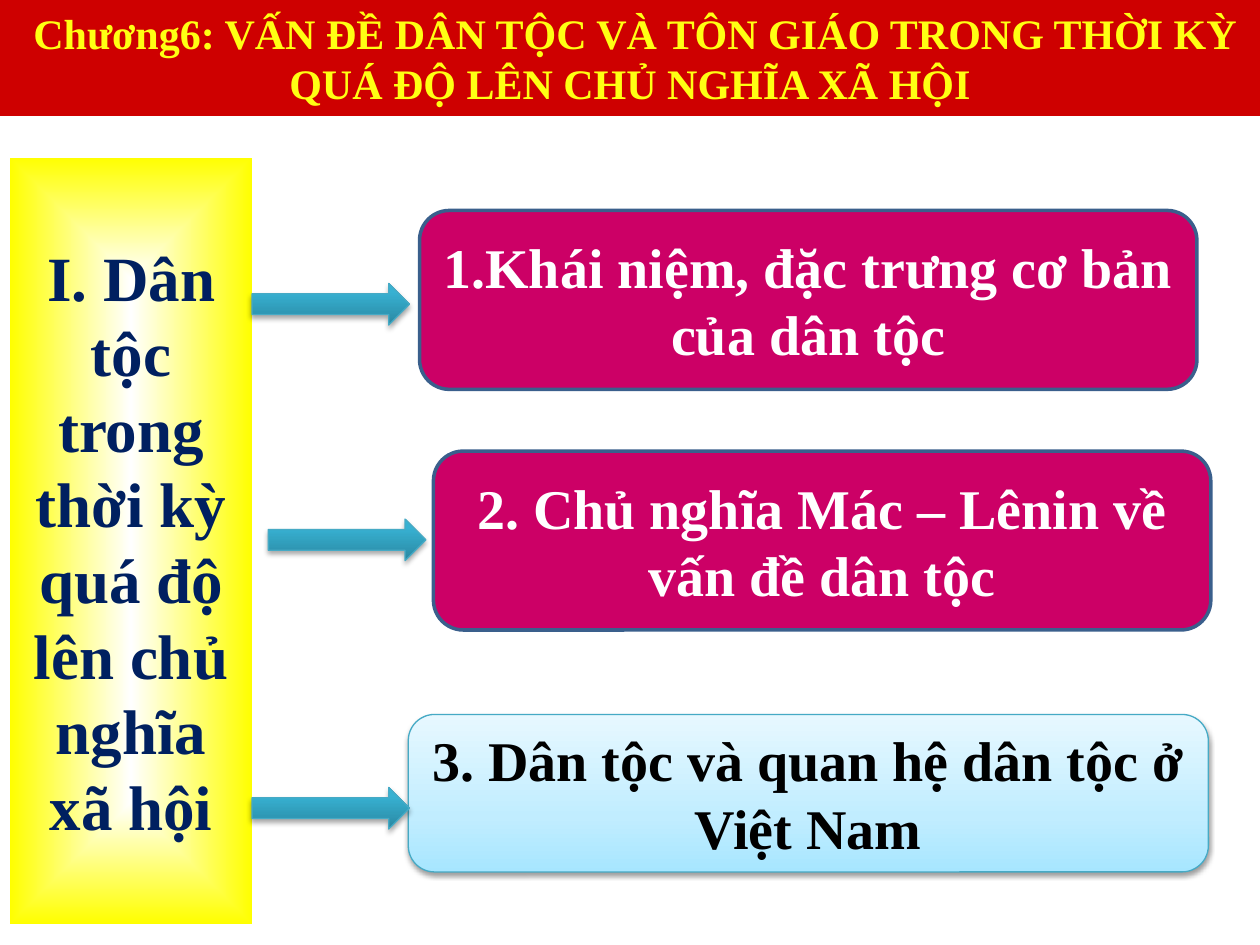
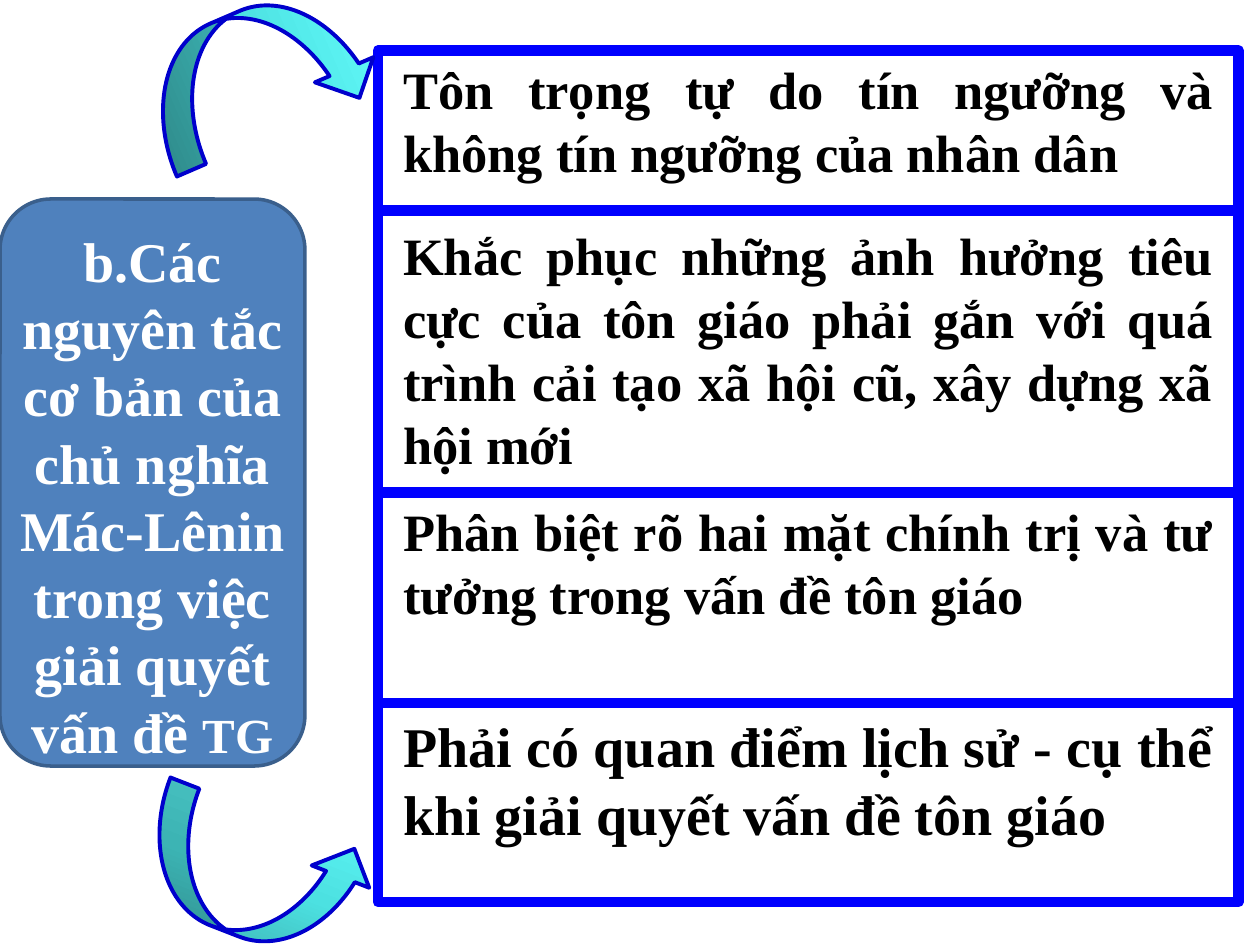
"""Build two slides on ethnic and religious questions in the transition period."""
from lxml import etree
from pptx import Presentation
from pptx.dml.color import RGBColor
from pptx.enum.shapes import MSO_SHAPE as SHAPE
from pptx.enum.text import MSO_ANCHOR as ANCHOR, MSO_AUTO_SIZE as AUTO, PP_ALIGN as ALIGN
from pptx.oxml import parse_xml
from pptx.oxml.ns import nsdecls, qn
from pptx.util import Inches, Pt

FONT = "Times New Roman"
C = {
    "band": "CE0000", "band_text": "FFFF13", "navy": "002060", "pink": "CC0066",
    "blue": "4F81BD", "outline": "3A5F8C", "teal": "46AAC5", "frame": "0000FF",
    "curve": "0000CC", "white": "FFFFFF", "black": "000000",
}
YELLOW = [(0, "FFFFFF"), (100, "FFFF00")]
TEAL = [(0, "2A88A2"), (80, "37B1D2"), (100, "34B4D6")]
ICE = [(0, "A7E6FF"), (35, "C1EDFF"), (100, "E7F8FF")]
AQUA = [(0, "369E9E"), (50, "4CE1E1"), (100, "66FFFF")]

TITLE = " Chương6: VẤN ĐỀ DÂN TỘC VÀ TÔN GIÁO TRONG THỜI KỲ QUÁ ĐỘ LÊN CHỦ NGHĨA XÃ HỘI"
SECTION = "I. Dân tộc trong thời kỳ quá độ lên chủ nghĩa xã hội"
TOPICS = [
    ("1.Khái niệm, đặc trưng cơ bản của dân tộc", (3.33, 1.67, 6.17, 1.42), (2, 2.25)),
    ("2. Chủ nghĩa Mác – Lênin về vấn đề dân tộc", (3.44, 3.58, 6.17, 1.42), (2.13, 4.12)),
    ("3. Dân tộc và quan hệ dân tộc ở Việt Nam", (3.24, 5.67, 6.35, 1.25), (2, 6.25)),
]
PRINCIPLES_LABEL = [
    ("b.Các nguyên tắc cơ bản của chủ nghĩa Mác-Lênin trong việc giải quyết vấn đề ", 32),
    ("TG", 28),
]
PRINCIPLES = [
    ("Tôn trọng tự do tín ngưỡng và không tín ngưỡng của nhân dân", 1.27, 30, 0.05),
    ("Khắc phục những ảnh hưởng tiêu cực của tôn giáo phải gắn với quá trình cải tạo "
     "xã hội cũ, xây dựng xã hội mới", 2.24, 30, 0.1),
    ("Phân biệt rõ hai mặt chính trị và tư tưởng trong vấn đề tôn giáo", 1.67, 30, 0.05),
    ("Phải có quan điểm lịch sử - cụ thể khi giải quyết vấn đề tôn giáo", 1.58, 32, 0.07),
]
CURVES = [
    (SHAPE.CURVED_DOWN_ARROW, (1.13, 0.07, 1.83, 1.01), 336.7),
    (SHAPE.CURVED_RIGHT_ARROW, (1.53, 6.05, 0.98, 1.81), 291.2),
]


def rgb(name):
    return RGBColor.from_string(C[name])


def set_gradient(sp, stops, angle=None):
    sp.fill.solid()
    gs = "".join(f'<a:gs pos="{pos * 1000}"><a:srgbClr val="{color}"/></a:gs>'
                 for pos, color in stops)
    if angle is None:
        shade = ('<a:path path="shape"><a:fillToRect l="50000" t="50000" '
                 'r="50000" b="50000"/></a:path>')
    else:
        shade = f'<a:lin ang="{angle * 60000}" scaled="0"/>'
    solid = sp._element.spPr.find(qn("a:solidFill"))
    solid.getparent().replace(solid, parse_xml(
        f'<a:gradFill {nsdecls("a")} rotWithShape="1"><a:gsLst>{gs}</a:gsLst>{shade}</a:gradFill>'))


def add_shadow(sp, alpha, distance):
    effects = sp._element.spPr.find(qn("a:effectLst"))
    shadow = etree.SubElement(effects, qn("a:outerShdw"), blurRad=str(Pt(3.1)),
                              dist=str(Pt(distance)), dir="5400000", rotWithShape="0")
    color = etree.SubElement(shadow, qn("a:srgbClr"), val=C["black"])
    etree.SubElement(color, qn("a:alpha"), val=str(alpha * 1000))


def add_box(s, kind, at, fill, line=None, width=2, angle=None):
    sp = s.shapes.add_shape(kind, *map(Inches, at))
    sp.shadow.inherit = False
    if isinstance(fill, list):
        set_gradient(sp, fill, angle)
    else:
        sp.fill.solid()
        sp.fill.fore_color.rgb = rgb(fill)
    if line:
        sp.line.color.rgb = rgb(line)
        sp.line.width = Pt(width)
    else:
        sp.line.fill.background()
    return sp


def write(sp, runs, color, align=ALIGN.CENTER, anchor=ANCHOR.MIDDLE, insets=(0.1, 0.05, 0.1, 0.05)):
    tf = sp.text_frame
    tf.word_wrap = True
    tf.auto_size = AUTO.NONE
    tf.vertical_anchor = anchor
    tf.margin_left, tf.margin_top, tf.margin_right, tf.margin_bottom = map(Inches, insets)
    p = tf.paragraphs[0]
    p.alignment = align
    for text, size in runs:
        r = p.add_run()
        r.text = text
        r.font.name = FONT
        r.font.size = Pt(size)
        r.font.bold = True
        r.font.color.rgb = rgb(color)


def build_topics(prs):
    s = prs.slides.add_slide(prs.slide_layouts[5])
    title = s.shapes.title
    title.left, title.top, title.width, title.height = map(Inches, (0, 0, 10, 0.92))
    title.fill.solid()
    title.fill.fore_color.rgb = rgb("band")
    write(title, [(TITLE, 24)], "band_text", insets=(0.1, 0, 0.1, 0))

    section = add_box(s, SHAPE.RECTANGLE, (0.08, 1.25, 1.92, 6.08), YELLOW)
    write(section, [(SECTION, 36)], "navy")

    for i, (text, at, arrow_at) in enumerate(TOPICS):
        if i < len(TOPICS) - 1:
            topic = add_box(s, SHAPE.ROUNDED_RECTANGLE, at, "pink", "outline")
            write(topic, [(text, 32)], "white")
        else:
            topic = add_box(s, SHAPE.ROUNDED_RECTANGLE, at, ICE, "teal", 0.75, 270)
            add_shadow(topic, 38, 1.6)
            write(topic, [(text, 32)], "black")
        arrow = add_box(s, SHAPE.RIGHT_ARROW, (*arrow_at, 1.25, 0.33), TEAL, "teal", 0.75, 270)
        add_shadow(arrow, 35, 1.8)


def build_principles(prs):
    s = prs.slides.add_slide(prs.slide_layouts[6])
    top = 0.4
    for text, height, size, inset in PRINCIPLES:
        box = add_box(s, SHAPE.RECTANGLE, (3, top, 6.83, height), "white", "frame", 6)
        write(box, [(text, size)], "black", ALIGN.JUSTIFY, ANCHOR.TOP, (0.2, inset, 0.2, 0))
        top += height

    label = add_box(s, SHAPE.ROUNDED_RECTANGLE, (0, 1.58, 2.42, 4.5), "blue", "outline")
    write(label, PRINCIPLES_LABEL, "white", anchor=ANCHOR.TOP, insets=(0, 0.1, 0, 0))
    for kind, at, rotation in CURVES:
        curve = add_box(s, kind, at, AQUA, "curve", 2.25, 0)
        curve.rotation = rotation


def main():
    prs = Presentation()
    prs.slide_width, prs.slide_height = Inches(10), Inches(7.5)
    build_topics(prs)
    build_principles(prs)
    prs.save("out.pptx")


if __name__ == "__main__":
    main()
